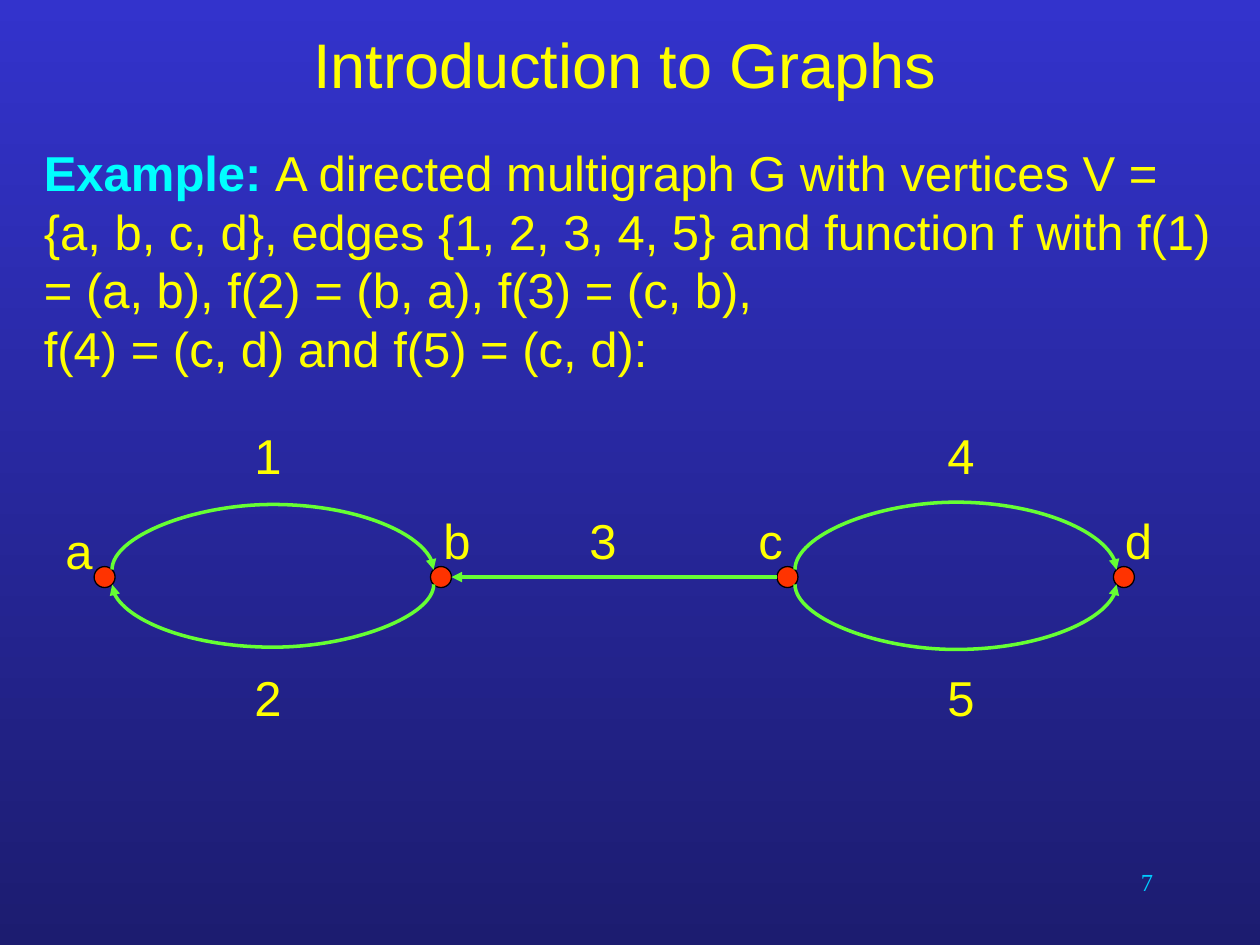
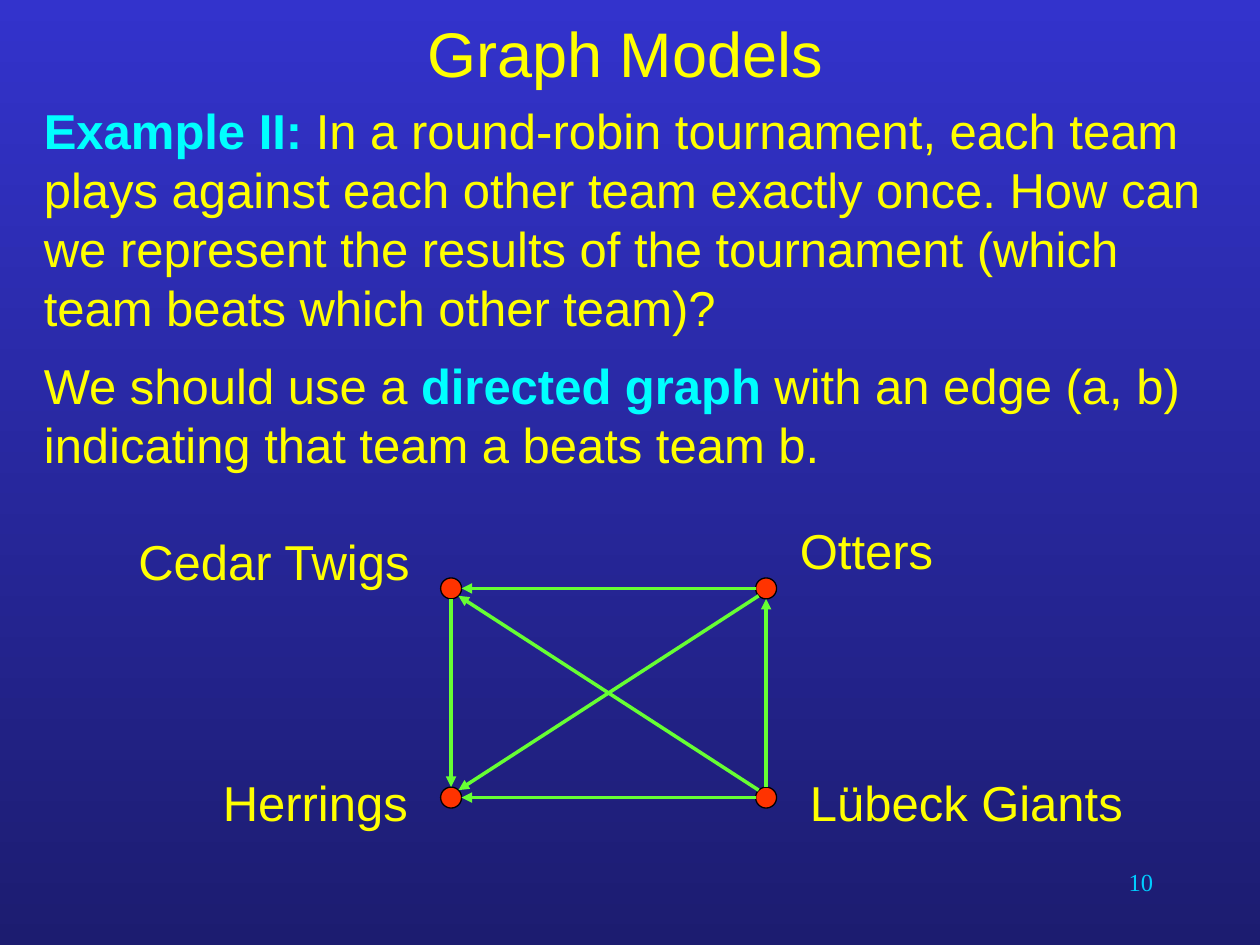
"""Build two slides on directed graphs: a multigraph and a tournament."""
from math import sqrt

from lxml.etree import SubElement
from pptx import Presentation
from pptx.dml.color import RGBColor
from pptx.enum.shapes import MSO_CONNECTOR, MSO_SHAPE
from pptx.enum.text import MSO_ANCHOR, PP_ALIGN
from pptx.oxml.ns import qn
from pptx.util import Emu, Inches, Pt

YELLOW, CYAN, SKY = "FFFF00", "00FFFF", "00CCFF"
GREEN, RED, BLACK = "66FF33", "FF3300", "000000"
BACKGROUND = ("3333CC", "1C1C70")
RADIUS = 1 / 12
DIAGONAL = RADIUS / sqrt(2)
SLIVER = Emu(1588)
LABEL_HEIGHT = 0.57

PLAIN = {"size": Pt(28), "name": "Arial", "bold": False}
STRONG = {**PLAIN, "bold": True}
TITLE = {**PLAIN, "size": Pt(36)}
NUMBER = {**PLAIN, "size": Pt(14), "name": "Times New Roman"}
BODY_SPACING = {"space_before": Pt(5.6), "space_after": Pt(5.6)}
LABEL_SPACING = {"alignment": PP_ALIGN.LEFT}
NUMBER_BOX = (7.17, 6.83, 2.08, 0.5)

UP_RIGHT = {"rot": "5400000", "flipV": "1"}
DOWN_LEFT = {"rot": "5400000"}
DOWN_RIGHT = {"rot": "16200000", "flipH": "1"}

SLIDES = [
    {
        "number": "7",
        "title": ("Introduction to Graphs", (0.25, 0, 9.42, 1)),
        "body_box": (0.25, 1.08, 9.58, 2.42),
        "body": [[
            ("Example: ", True),
            ("A directed multigraph G with vertices V = {a, b, c, d}, "
             "edges {1, 2, 3, 4, 5} and function f with f(1) = (a, b), "
             "f(2) = (b, a), f(3) = (c, b), \n"
             "f(4) = (c, d) and f(5) = (c, d):", False),
        ]],
        "vertices": {"a": (0.83, 4.58), "b": (3.5, 4.58),
                     "c": (6.25, 4.58), "d": (8.92, 4.58)},
        "labels": [
            ("a", 0.42, 4.08, 0.42), ("b", 3.42, 4, 0.42),
            ("c", 5.92, 4, 0.42), ("d", 8.83, 4, 0.42),
            ("1", 1.92, 3.33, 0.42), ("2", 1.92, 5.25, 0.42),
            ("3", 4.58, 4, 0.42),
            ("4", 7.42, 3.33, 0.42), ("5", 7.42, 5.25, 0.42),
        ],
        "edges": ["cb"],
        "curves": [("ab", -0.57, UP_RIGHT), ("ba", 0.55, DOWN_LEFT),
                   ("cd", -0.59, UP_RIGHT), ("cd", 0.57, DOWN_RIGHT)],
    },
    {
        "number": "10",
        "title": ("Graph Models", (0.25, 0, 9.42, 0.83)),
        "body_box": (0.25, 0.75, 9.58, 3.17),
        "body": [
            [("Example II: ", True),
             ("In a round-robin tournament, each team plays against each "
              "other team exactly once. How can we represent the results of "
              "the tournament (which team beats which other team)?", False)],
            [("We should use a ", False), ("directed graph", True),
             (" with an edge (a, b) indicating that team a beats team b.", False)],
        ],
        "vertices": {"C": (3.58, 4.67), "O": (6.08, 4.67),
                     "H": (3.58, 6.33), "L": (6.08, 6.33)},
        "labels": [
            ("Cedar Twigs", 1, 4.17, 2.58), ("Otters", 6.25, 4.08, 1.75),
            ("Herrings", 1.67, 6.08, 1.83), ("Lübeck Giants", 6.33, 6.08, 3),
        ],
        "edges": ["CH", "OC", "OH", "LH", "LC", "LO"],
        "curves": [],
    },
]


def color(value):
    return RGBColor.from_string(value)


def apply(target, values):
    for name, value in values.items():
        setattr(target, name, value)


def add_span(para, text, style, ink):
    for index, line in enumerate(text.split("\n")):
        if index:
            para.add_line_break()
        span = para.add_run()
        span.text = line
        apply(span.font, style)
        span.font.color.rgb = color(ink)


def add_text(page, bounds, paragraphs, spacing, anchor=MSO_ANCHOR.TOP):
    box = page.shapes.add_textbox(*map(Inches, bounds))
    frame = box.text_frame
    apply(frame, {"word_wrap": True, "vertical_anchor": anchor})
    for index, spans in enumerate(paragraphs):
        para = frame.add_paragraph() if index else frame.paragraphs[0]
        apply(para, spacing)
        for span in spans:
            add_span(para, *span)


def add_vertex(page, x, y):
    dot = page.shapes.add_shape(
        MSO_SHAPE.FLOWCHART_CONNECTOR, Inches(x - RADIUS), Inches(y - RADIUS),
        Inches(2 * RADIUS), Inches(2 * RADIUS))
    dot.shadow.inherit = False
    dot.fill.solid()
    dot.fill.fore_color.rgb = color(RED)
    dot.line.color.rgb = color(BLACK)
    dot.line.width = Pt(0.75)


def style_edge(edge):
    edge.line.color.rgb = color(GREEN)
    edge.line.width = Pt(2)
    properties = edge._element.spPr
    SubElement(properties.find(qn("a:ln")), qn("a:tailEnd"), type="triangle")
    SubElement(properties, qn("a:effectLst"))


def sign(value):
    return (value > 0) - (value < 0)


def add_edge(page, start, end):
    steps = [sign(b - a) for a, b in zip(start, end)]
    reach = DIAGONAL if all(steps) else RADIUS
    begin = [a + reach * step for a, step in zip(start, steps)]
    finish = [b - reach * step for b, step in zip(end, steps)]
    style_edge(page.shapes.add_connector(
        MSO_CONNECTOR.STRAIGHT, *map(Inches, begin + finish)))


def add_curve(page, start, end, bulge, turn):
    span = abs(end[0] - start[0]) - 2 * DIAGONAL
    middle = (start[0] + end[0]) / 2
    y = start[1] + DIAGONAL * sign(bulge)
    edge = page.shapes.add_connector(MSO_CONNECTOR.CURVE, 0, 0, 0, 0)
    apply(edge, {"left": Inches(middle), "top": Inches(y - span / 2),
                 "width": SLIVER, "height": Inches(span)})
    properties = edge._element.spPr
    for name, value in turn.items():
        properties.find(qn("a:xfrm")).set(name, value)
    geometry = properties.find(qn("a:prstGeom"))
    guides = geometry.find(qn("a:avLst"))
    if guides is None:
        guides = SubElement(geometry, qn("a:avLst"))
    ratio = round(Inches(bulge) / SLIVER * 100000)
    SubElement(guides, qn("a:gd"), name="adj1", fmla=f"val {ratio}")
    style_edge(edge)


def add_base(deck, content):
    page = deck.slides.add_slide(deck.slide_layouts[6])
    fill = page.background.fill
    fill.gradient()
    fill.gradient_angle = 270
    for stop, value in zip(fill.gradient_stops, BACKGROUND):
        stop.color.rgb = color(value)
    add_text(page, NUMBER_BOX, [[(content["number"], NUMBER, SKY)]],
             {"alignment": PP_ALIGN.RIGHT})
    title, bounds = content["title"]
    add_text(page, bounds, [[(title, TITLE, YELLOW)]],
             {"alignment": PP_ALIGN.CENTER}, MSO_ANCHOR.MIDDLE)
    body = [[(text, STRONG if strong else PLAIN, CYAN if strong else YELLOW)
             for text, strong in spans] for spans in content["body"]]
    add_text(page, content["body_box"], body, BODY_SPACING)
    return page


def add_graph(page, content):
    vertices = content["vertices"]
    for x, y in vertices.values():
        add_vertex(page, x, y)
    for start, end in content["edges"]:
        add_edge(page, vertices[start], vertices[end])
    for (start, end), bulge, turn in content["curves"]:
        add_curve(page, vertices[start], vertices[end], bulge, turn)
    for text, left, top, width in content["labels"]:
        add_text(page, (left, top, width, LABEL_HEIGHT),
                 [[(text, PLAIN, YELLOW)]], LABEL_SPACING)


def main():
    deck = Presentation()
    deck.slide_width, deck.slide_height = Inches(10), Inches(7.5)
    for content in SLIDES:
        add_graph(add_base(deck, content), content)
    deck.save("out.pptx")


if __name__ == "__main__":
    main()
